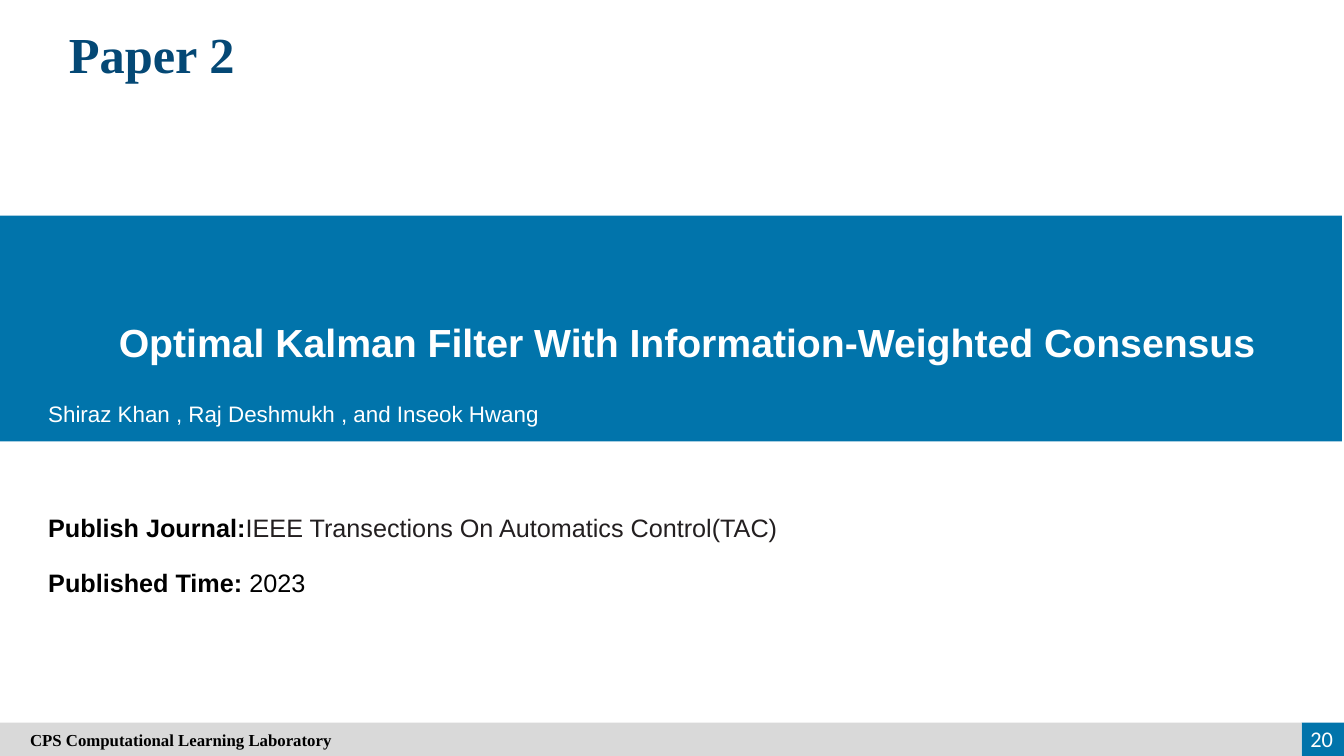
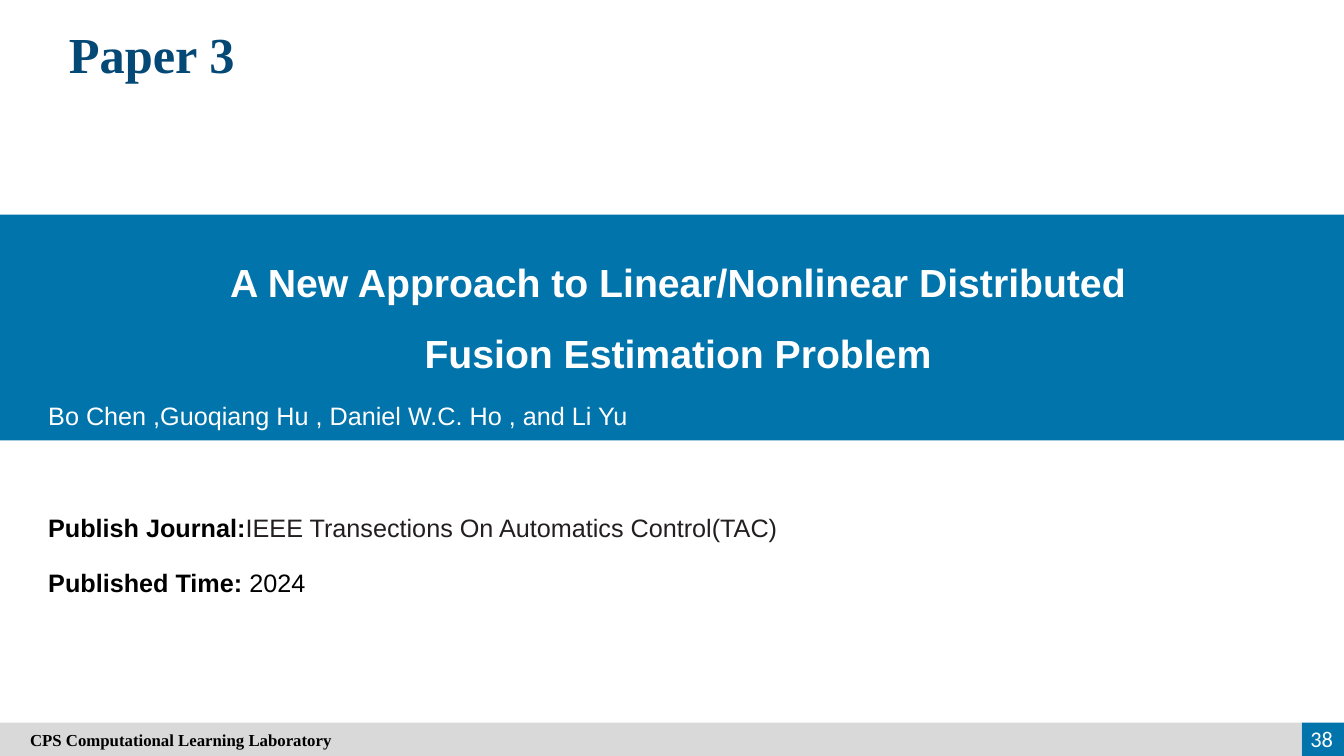
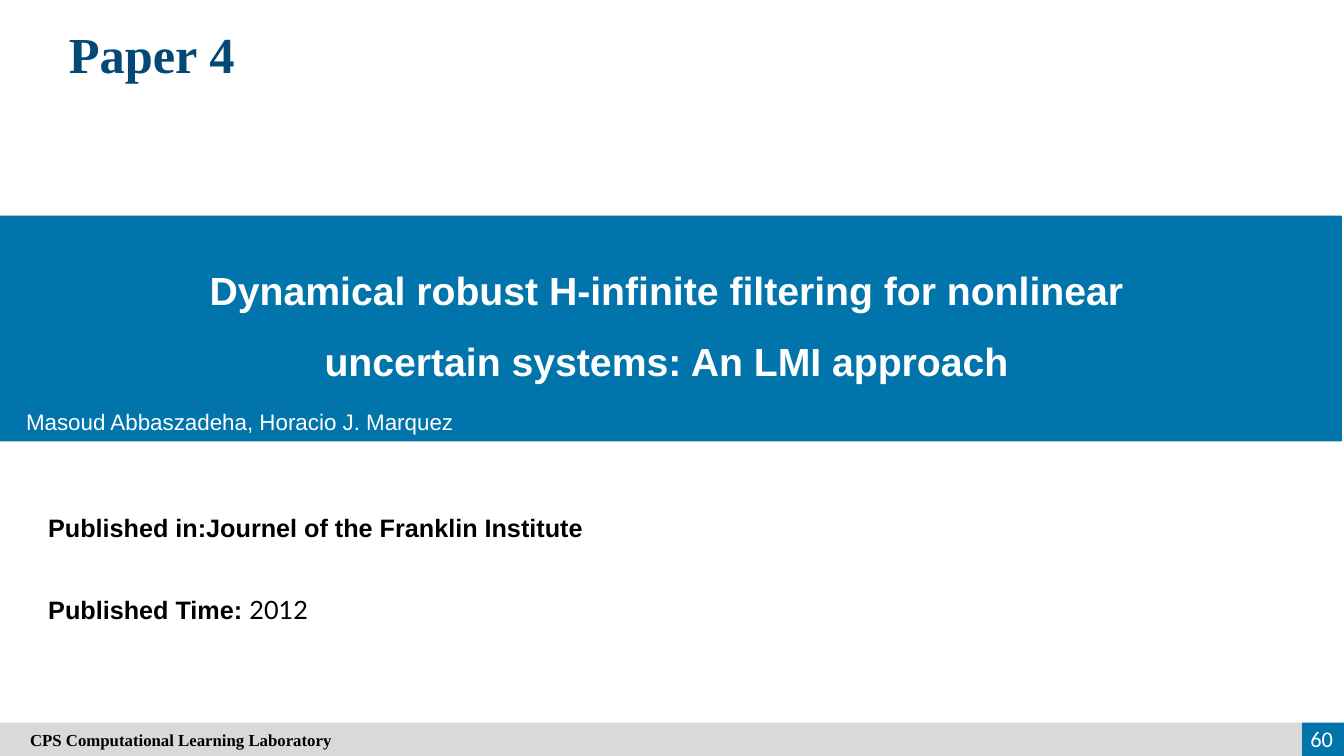
"""Build three paper title slides for a laboratory presentation."""
from pptx import Presentation
from pptx.dml.color import RGBColor
from pptx.enum.shapes import MSO_SHAPE as SHAPE
from pptx.enum.text import MSO_ANCHOR as ANCHOR, PP_ALIGN as ALIGN
from pptx.util import Inches, Pt

COLORS = {
    "blue": "0174AB",
    "navy": "044875",
    "grey": "D9D9D9",
    "ink": "231F20",
    "black": "000000",
    "white": "FFFFFF",
}
HEADING = {"name": "Times New Roman", "size": Pt(36), "bold": True, "color": "navy"}
FOOTER = {"name": "Times New Roman", "size": Pt(12), "bold": True, "color": "black"}
NUMBER = {"name": "Calibri", "size": Pt(16), "color": "white"}
TITLE = {"name": "Arial", "size": Pt(28), "bold": True, "color": "white"}
AUTHORS = {"name": "Arial", "size": Pt(16), "color": "white"}
LABEL = {"name": "Arial", "size": Pt(18), "bold": True, "color": "black"}
VALUE = {**LABEL, "bold": False}
JOURNAL = [
    ("Publish Journal:", LABEL),
    ("IEEE Transections On Automatics Control(TAC)", {**VALUE, "color": "ink"}),
]

PAPERS = [
    {
        "heading": "Paper 2",
        "number": "20",
        "band": (0, 2.14, 13.31, 2.24),
        "title": ["Optimal Kalman Filter With Information-Weighted Consensus"],
        "title_box": (1.08, 2.87, 12.2, 0.72),
        "title_align": ALIGN.LEFT,
        "authors": ("Shiraz Khan , Raj Deshmukh , and Inseok Hwang", AUTHORS),
        "authors_at": (0.38, 3.92),
        "journal": JOURNAL,
        "time": [("Published Time:", LABEL), (" 2023", VALUE)],
        "time_top": 5.58,
    },
    {
        "heading": "Paper 3",
        "number": "38",
        "band": (0, 2.13, 13.33, 2.24),
        "title": ["A New Approach to Linear/Nonlinear Distributed",
                  "Fusion Estimation Problem"],
        "title_box": (0.31, 2.28, 12.83, 1.43),
        "title_align": ALIGN.CENTER,
        "authors": ("Bo Chen ,Guoqiang Hu , Daniel W.C. Ho , and Li Yu",
                    {**AUTHORS, "size": Pt(18)}),
        "authors_at": (0.38, 3.92),
        "journal": JOURNAL,
        "time": [("Published Time:", LABEL), (" 2024", VALUE)],
        "time_top": 5.58,
    },
    {
        "heading": "Paper 4",
        "number": "60",
        "band": (0, 2.14, 13.31, 2.24),
        "title": ["Dynamical robust H-infinite filtering for nonlinear",
                  "uncertain systems: An LMI approach"],
        "title_box": (0.35, 2.36, 12.52, 1.43),
        "title_align": ALIGN.CENTER,
        "authors": ("Masoud Abbaszadeha, Horacio J. Marquez", AUTHORS),
        "authors_at": (0.16, 4),
        "journal": [("Published in:Journel of the Franklin Institute", LABEL)],
        "time": [("Published Time: ", LABEL), ("2012", {**VALUE, "name": "Lato"})],
        "time_top": 5.85,
    },
]


def add_bar(s, box, color):
    sp = s.shapes.add_shape(SHAPE.RECTANGLE, *map(Inches, box))
    sp.shadow.inherit = False
    sp.fill.solid()
    sp.fill.fore_color.rgb = RGBColor.from_string(COLORS[color])
    sp.line.fill.background()


def add_text(s, box, paragraphs, align=ALIGN.LEFT, spacing=None, anchor=ANCHOR.TOP):
    tf = s.shapes.add_textbox(*map(Inches, box)).text_frame
    tf.word_wrap = True
    tf.vertical_anchor = anchor
    for i, runs in enumerate(paragraphs):
        p = tf.add_paragraph() if i else tf.paragraphs[0]
        p.alignment = align
        p.line_spacing = spacing
        for text, style in runs:
            r = p.add_run()
            r.text = text
            for key, value in style.items():
                if key == "color":
                    r.font.color.rgb = RGBColor.from_string(COLORS[value])
                else:
                    setattr(r.font, key, value)


prs = Presentation()
prs.slide_width = Inches(13.33)
prs.slide_height = Inches(7.5)

for paper in PAPERS:
    s = prs.slides.add_slide(prs.slide_layouts[6])
    add_bar(s, paper["band"], "blue")
    add_bar(s, (12.91, 7.17, 0.42, 0.33), "blue")
    add_bar(s, (0, 7.17, 12.91, 0.33), "grey")
    add_text(s, (0.38, 0.18, 2.25, 0.71), [[(paper["heading"], HEADING)]], ALIGN.CENTER)
    add_text(s, (0.2, 7.17, 12.7, 0.33),
             [[("CPS Computational Learning Laboratory", FOOTER)]], anchor=ANCHOR.MIDDLE)
    add_text(s, (12.69, 7.13, 0.63, 0.4), [[(paper["number"], NUMBER)]],
             ALIGN.RIGHT, anchor=ANCHOR.MIDDLE)
    add_text(s, paper["title_box"], [[(line, TITLE)] for line in paper["title"]],
             paper["title_align"], 1.5)
    add_text(s, (*paper["authors_at"], 9.08, 0.4), [[paper["authors"]]])
    add_text(s, (0.38, 5.03, 9.57, 0.4), [paper["journal"]])
    add_text(s, (0.38, paper["time_top"], 6.38, 0.4), [paper["time"]])

prs.save("out.pptx")
